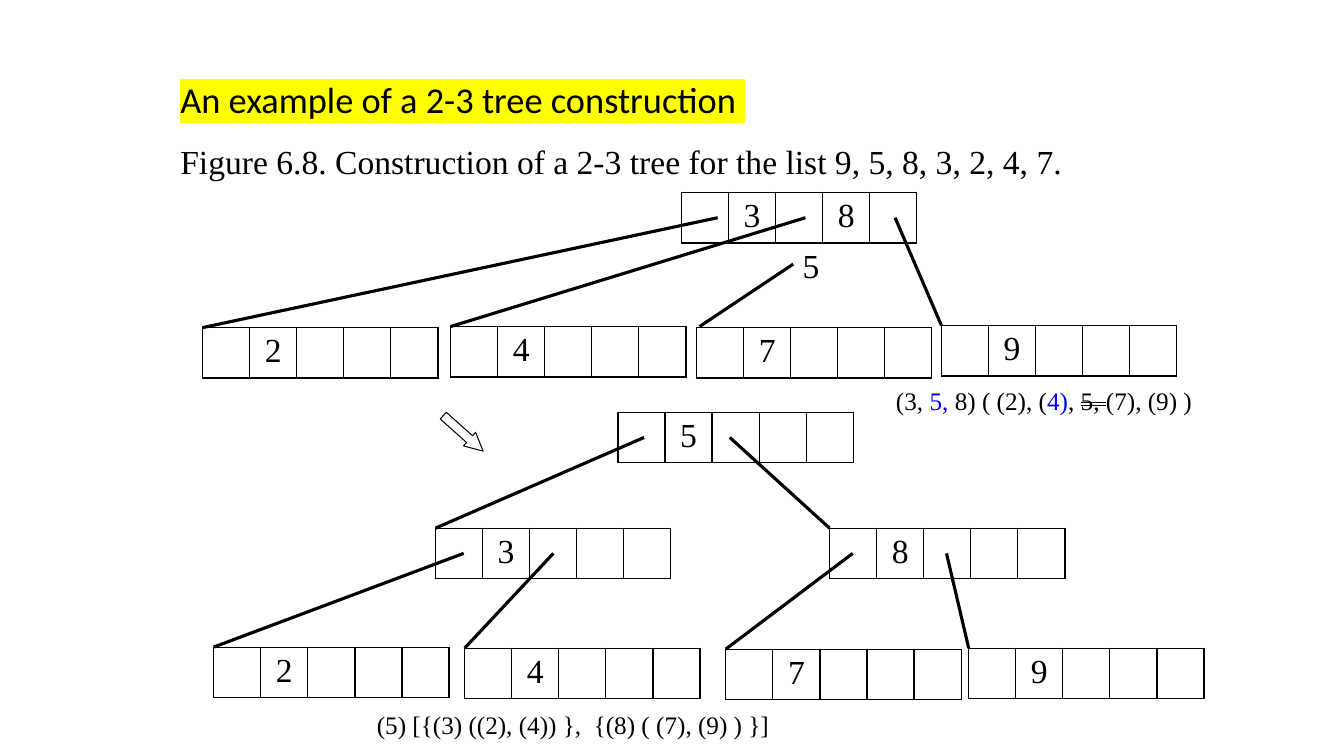
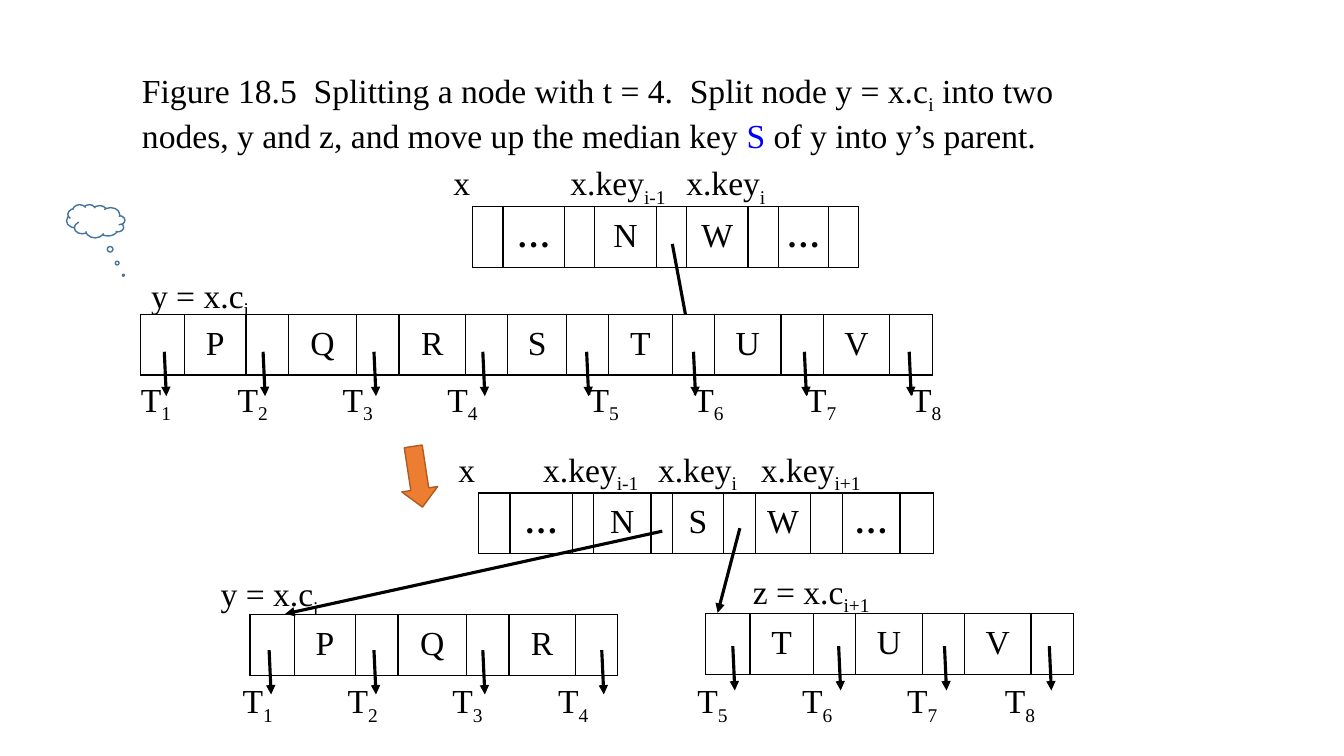
from dataclasses import dataclass

from lxml.etree import SubElement
from pptx import Presentation
from pptx.dml.color import RGBColor
from pptx.enum.shapes import MSO_CONNECTOR, MSO_SHAPE
from pptx.enum.text import PP_ALIGN
from pptx.oxml.ns import qn
from pptx.util import Inches, Pt

CELL = Inches(0.1)  # the grid: 75 rows of square cells on each slide


def grid(*cells):
    """Turn grid columns or rows into slide lengths."""
    return [round(cell * CELL) for cell in cells]


@dataclass(frozen=True)
class Theme:
    black: str = "000000"
    white: str = "FFFFFF"
    blue: str = "0000FF"
    yellow: str = "FFFF00"
    orange: str = "ED7D31"
    dark_orange: str = "AF5C24"
    steel: str = "43739E"
    serif: str = "Times New Roman"
    sans: str = "Calibri"
    heading: int = 26
    body: int = 24
    note: int = 18
    edge: float = 2.25
    border: float = 1


THEME = Theme()


def write(paragraph, text, size=THEME.body, font=THEME.serif, color=THEME.black,
          bold=False, highlight=None, strike=None):
    """Add text to a paragraph; parts between tildes become subscripts."""
    for index, part in enumerate(text.split("~")):
        if not part:
            continue
        run = paragraph.add_run()
        run.text = part
        run.font.size, run.font.name, run.font.bold = Pt(size), font, bold
        run.font.color.rgb = RGBColor.from_string(color)
        properties = run.font._element
        if index % 2:
            properties.set("baseline", "-25000")
        if strike:
            properties.set("strike", strike)
        if highlight:
            marker = SubElement(properties, qn("a:highlight"))
            SubElement(marker, qn("a:srgbClr"), val=highlight)
            properties.find(qn("a:latin")).addprevious(marker)


class Deck:
    """Holds the style, the presentation and the current slide."""

    def __init__(self, theme):
        self.theme = theme
        self.show = Presentation()
        self.show.slide_width, self.show.slide_height = Inches(13.333), Inches(7.5)
        self.slide = None

    def new_slide(self):
        self.slide = self.show.slides.add_slide(self.show.slide_layouts[6])

    def text(self, x, y, width, height, *lines, spacing=None, tabs=(), align=None):
        """Place lines, each a list of (text, format) runs or a plain string."""
        frame = self.slide.shapes.add_textbox(*grid(x, y, width, height)).text_frame
        frame.word_wrap = True
        for index, line in enumerate(lines):
            paragraph = frame.add_paragraph() if index else frame.paragraphs[0]
            if tabs:
                stops = SubElement(paragraph._p.get_or_add_pPr(), qn("a:tabLst"))
                for stop in grid(*tabs):
                    SubElement(stops, qn("a:tab"), pos=str(stop), algn="l")
            if spacing:
                paragraph.line_spacing = spacing
            paragraph.alignment = align
            for words, style in [(line, {})] if isinstance(line, str) else line:
                write(paragraph, words, **style)

    def node(self, x, y, keys, widths, height=5, inset=None, spacing=None):
        """Draw a tree node: pointer cells with the keys in the odd cells."""
        table = self.slide.shapes.add_table(
            1, len(widths), *grid(x, y, sum(widths), height)).table
        table.first_row = table.horz_banding = False
        table.rows[0].height = grid(height)[0]
        for column, width in zip(table.columns, grid(*widths)):
            column.width = width
        cells = list(table.iter_cells())
        for cell in cells:
            if inset is not None:
                cell.margin_left, cell.margin_right = grid(inset, inset)
                cell.margin_top = cell.margin_bottom = 0
            self.frame_cell(cell)
        for cell, key in zip(cells[1::2], keys):
            paragraph = cell.text_frame.paragraphs[0]
            paragraph.alignment = PP_ALIGN.CENTER
            if spacing:
                paragraph.line_spacing = spacing
            write(paragraph, key, bold=key == "…")

    def frame_cell(self, cell):
        properties = cell._tc.get_or_add_tcPr()
        for side in ("a:lnL", "a:lnR", "a:lnT", "a:lnB"):
            border = SubElement(properties, qn(side), w=str(Pt(self.theme.border)))
            fill = SubElement(border, qn("a:solidFill"))
            SubElement(fill, qn("a:srgbClr"), val=self.theme.black)
        cell.fill.solid()
        cell.fill.fore_color.rgb = RGBColor.from_string(self.theme.white)

    def edge(self, x1, y1, x2, y2, arrow=False):
        edge = self.slide.shapes.add_connector(
            MSO_CONNECTOR.STRAIGHT, *grid(x1, y1, x2, y2))
        edge.line.width = Pt(self.theme.edge)
        edge.line.color.rgb = RGBColor.from_string(self.theme.black)
        if arrow:
            SubElement(edge.line._get_or_add_ln(), qn("a:tailEnd"), type="triangle")
        SubElement(edge._element.spPr, qn("a:effectLst"))

    def shape(self, kind, x, y, width, height, fill, outline, weight=1,
              turn=0, adjust=(), mirror=False):
        shape = self.slide.shapes.add_shape(kind, *grid(x, y, width, height))
        shape.shadow.inherit = False
        shape.rotation = turn
        shape.fill.solid()
        shape.fill.fore_color.rgb = RGBColor.from_string(fill)
        shape.line.color.rgb = RGBColor.from_string(outline)
        shape.line.width = Pt(weight)
        for index, value in enumerate(adjust):
            shape.adjustments[index] = value
        if mirror:
            shape._element.spPr.get_or_add_xfrm().set("flipH", "1")


def two_three_tree(deck):
    theme = deck.theme
    deck.new_slide()
    deck.text(16.9, 5, 97.3, 12.9,
              [("An example of a 2-3 tree construction ",
                dict(size=theme.heading, font=theme.sans, highlight=theme.yellow))],
              "Figure 6.8. Construction of a 2-3 tree for the list 9, 5, 8, 3, 2, 4, 7.",
              spacing=1.5)
    deck.shape(MSO_SHAPE.RIGHT_ARROW, 43.3, 42.1, 5.3, 1.8, theme.white, theme.black,
               weight=0.75, turn=41.7, adjust=(0.5, 1))

    # Nodes before and after the split: column, row, keys
    nodes = [(67.6, 19.1, "38"), (20.1, 32.5, "2"), (44.7, 32.4, "4"),
             (69.1, 32.5, "7"), (93.4, 32.3, "9"),
             (61.3, 40.9, "5"), (43.2, 52.4, "3"), (82.3, 52.4, "8"),
             (21.2, 64.2, "2"), (46.1, 64.3, "4"), (72, 64.4, "7"), (96.1, 64.3, "9")]
    for x, y, keys in nodes:
        deck.node(x, y, keys, [4.67] * 5)

    # Edges: parent, child, distance of the start from the parent's left side
    edges = [(0, 1, 3.6), (0, 2, 12.3), (0, 4, 21.2), (5, 6, 2.6), (5, 7, 11.1),
             (6, 8, 2.8), (6, 9, 11.7), (7, 10, 2.3), (7, 11, 11.6)]
    for parent, child, start in edges:
        left, top, _ = nodes[parent]
        deck.edge(left + start, top + 2.5, *nodes[child][:2])

    # The key that does not fit in the root
    deck.text(77.7, 23.8, 5.5, 5, "5", align=PP_ALIGN.CENTER)
    deck.edge(78.7, 26.2, 69.4, 32.4)

    # Both trees in bracket notation
    plain = dict(size=theme.note)
    blue = dict(plain, color=theme.blue)
    deck.text(87.9, 37.7, 33.9, 4,
              [("(3, ", plain), ("5, ", blue), ("8) ( (2), (", plain), ("4)", blue),
               (", ", plain), ("5, ", dict(plain, strike="dblStrike")),
               ("(7), (9) )", plain)])
    deck.text(36.4, 69.9, 53.3, 4,
              [("(5) [{(3) ((2), (4)) },  {(8) ( (7), (9) ) }]", plain)])


def node_split(deck):
    theme = deck.theme
    deck.new_slide()
    cells = dict(height=6, inset=0.7, spacing=1.3)
    full = [4.4, 6.1, 4.2, 6.8, 4.2, 6.6, 4.2, 5.8, 4.2, 6.3, 4.2, 6.6, 4.2, 6.6, 4.2]
    subtrees = "\t".join(f"T~{number}~" for number in range(1, 9))

    deck.text(13.1, 6.4, 98.8, 9.1,
              [("Figure 18.5  Splitting a node with t = 4.  Split node y = x.c~i~ into "
                "two nodes, y and z, and move up the median key ", {}),
               ("S ", dict(color=theme.blue)), ("of y into y’s parent.", {})])
    deck.shape(MSO_SHAPE.CLOUD_CALLOUT, 6.6, 20.3, 5.8, 3.3, theme.white, theme.steel,
               adjust=(-0.473, 1.625), mirror=True)

    # Before the split
    deck.text(44, 15.6, 39.9, 5, "x\tx.key~i-1~\tx.key~i~", tabs=(11.6, 23.1))
    deck.node(46.9, 20.5, "…NW…", [3, 6.1, 3, 6.1, 3, 6.1, 3, 5, 3], **cells)
    deck.edge(66.7, 24.2, 68.5, 33.9, arrow=True)
    deck.text(14, 25.4, 14, 5.7, "y = x.c~i~", spacing=1.3)
    deck.node(13.9, 31.2, "PQRSTUV", full, **cells)
    deck.text(13, 37.1, 85.7, 5, subtrees,
              tabs=(9.6, 20, 30.4, 44.4, 54.8, 66, 76.4))

    deck.shape(MSO_SHAPE.RIGHT_ARROW, 38.4, 45.5, 6.1, 3.6, theme.orange,
               theme.dark_orange, turn=81.3)

    # After the split
    deck.text(44.5, 44, 50, 5, "x\tx.key~i-1~\tx.key~i~\tx.key~i+1~",
              tabs=(8.4, 19.8, 30))
    deck.node(47.5, 48.9, "…NSW…",
              [3.1, 6.2, 2.1, 5.7, 2.1, 5.1, 3.2, 5.4, 3.2, 5.7, 3.3], **cells)
    deck.text(20.9, 55, 14, 5.7, "y = x.c~i~", spacing=1.3)
    deck.text(73.7, 56.1, 16, 5, "z = x.c~i+1~")
    deck.node(24.8, 61, "PQR", full[:7], **cells)
    deck.node(70, 60.9, "TUV", full[:1] + full[9:], **cells)
    deck.edge(65.7, 52.7, 28.3, 60.9, arrow=True)
    deck.edge(73.4, 52.4, 71.2, 60.8, arrow=True)
    deck.text(23.1, 67, 85.7, 5, subtrees,
              tabs=(10.4, 20.8, 31.3, 45.1, 55.5, 65.9, 75.6))

    # Pointers to the subtrees: row of the start, then columns
    pointers = [(34.9, (16.3, 26.1, 37.1, 47.9, 58.2, 68.8, 79.8, 90.2)),
                (64.5, (26.7, 37.1, 47.9, 59.7)),
                (64.1, (72.7, 83.2, 93.7, 104.1))]
    for row, columns in pointers:
        for column in columns:
            deck.edge(column, row, column + 0.2, row + 4.4, arrow=True)


def main():
    deck = Deck(THEME)
    two_three_tree(deck)
    node_split(deck)
    deck.show.save("out.pptx")


if __name__ == "__main__":
    main()
